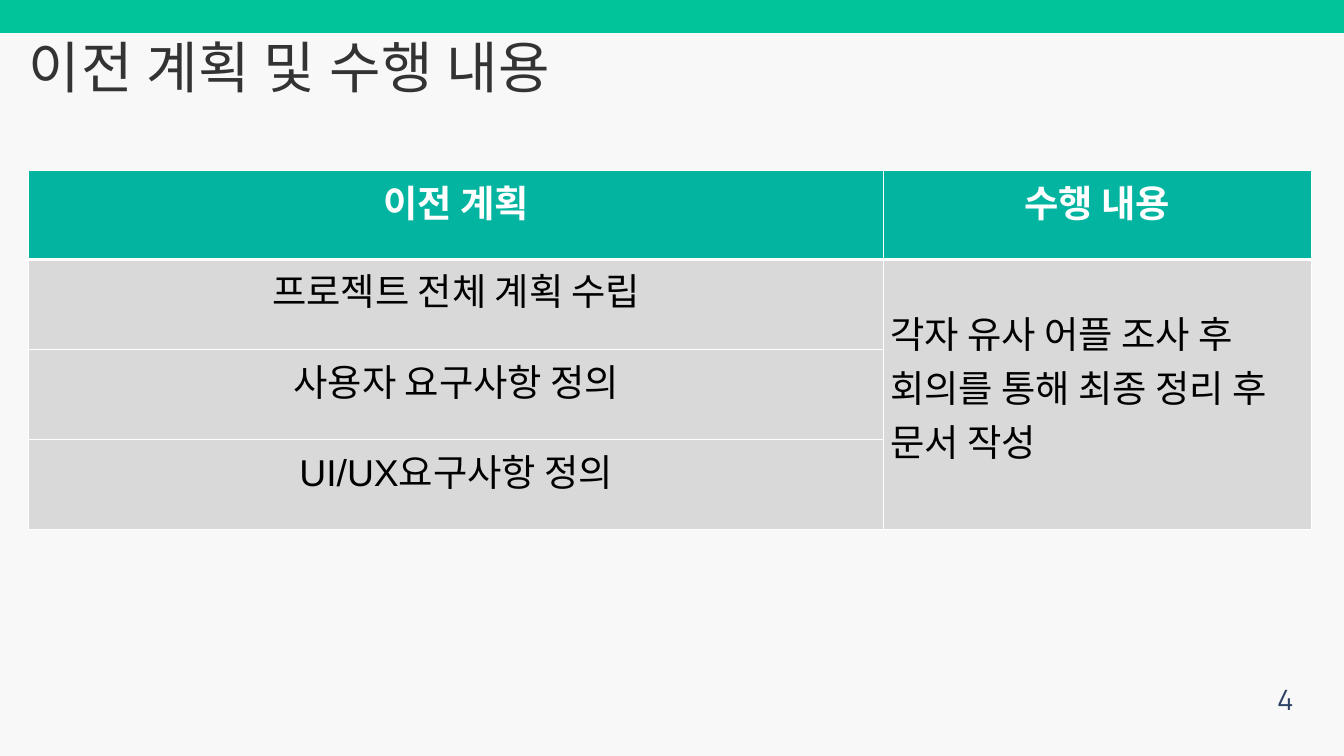
from lxml import etree
from pptx import Presentation
from pptx.dml.color import RGBColor
from pptx.enum.shapes import MSO_SHAPE
from pptx.enum.text import MSO_ANCHOR, MSO_AUTO_SIZE, PP_ALIGN
from pptx.oxml.ns import qn
from pptx.util import Inches, Pt

RECT = MSO_SHAPE.RECTANGLE
TOP = MSO_ANCHOR.TOP
GROW = MSO_AUTO_SIZE.SHAPE_TO_FIT_TEXT
LEFT, CENTER, RIGHT = PP_ALIGN.LEFT, PP_ALIGN.CENTER, PP_ALIGN.RIGHT

COLORS = {
    "background": "F8F8F8",
    "bar": "00C49A",
    "title": "333333",
    "number": "2D4263",
    "header": "03B5A0",
    "body": "D9D9D9",
    "white": "FFFFFF",
    "black": "000000",
}
HEADERS = ["이전 계획", "수행 내용"]
PLANS = [
    ("프로젝트 전체 계획 수립", "Calibri"),
    ("사용자 요구사항 정의", "Calibri"),
    ("UI/UX요구사항 정의", "Arial"),
]
RESULT = "각자 유사 어플 조사 후 회의를 통해 최종 정리 후 문서 작성"


def rgb(name):
    return RGBColor.from_string(COLORS[name])


def add_run(p, text, font, size, color, bold=False):
    r = p.add_run()
    r.text = text
    r.font.name = font
    r.font.size = Pt(size)
    r.font.bold = bold
    r.font.color.rgb = rgb(color)
    return r


def add_bar(s):
    sp = s.shapes.add_shape(RECT, 0, 0, Inches(20), Inches(0.49))
    sp.shadow.inherit = False
    sp.fill.solid()
    sp.fill.fore_color.rgb = rgb("bar")
    sp.line.fill.background()


def add_text(s, box, text, size, color, align, line_spacing):
    tf = s.shapes.add_textbox(*map(Inches, box)).text_frame
    tf.word_wrap = True
    tf.auto_size = GROW
    tf.margin_left = tf.margin_top = tf.margin_right = tf.margin_bottom = 0
    p = tf.paragraphs[0]
    p.alignment = align
    p.line_spacing = Pt(line_spacing)
    return add_run(p, text, "Manrope", size, color)


def set_borders(cell, top, bottom):
    tcPr = cell._tc.get_or_add_tcPr()
    for side, width in (("L", 1), ("R", 1), ("T", top), ("B", bottom)):
        ln = etree.SubElement(tcPr, qn(f"a:ln{side}"), w=str(Pt(width)))
        fill = etree.SubElement(ln, qn("a:solidFill"))
        etree.SubElement(fill, qn("a:srgbClr"), val=COLORS["white"])


def fill_cell(cell, text, font, color, align=CENTER, bold=False):
    cell.vertical_anchor = TOP
    p = cell.text_frame.paragraphs[0]
    p.alignment = align
    add_run(p, text, font, 40, color, bold)


def add_plan_table(s):
    box = map(Inches, (0.43, 2.54, 19.08, 5.34))
    table = s.shapes.add_table(len(PLANS) + 1, len(HEADERS), *box).table
    table.first_row = table.horz_banding = False
    for col, width in zip(table.columns, (12.72, 6.36)):
        col.width = Inches(width)
    for i, row in enumerate(table.rows):
        row.height = Inches(1.34 if i else 1.32)
        for cell in row.cells:
            set_borders(cell, 3 if i == 1 else 1, 1 if i else 3)
            cell.fill.solid()
            cell.fill.fore_color.rgb = rgb("body" if i else "header")
    for j, text in enumerate(HEADERS):
        fill_cell(table.cell(0, j), text, "Arial", "white", bold=True)
    for i, (text, font) in enumerate(PLANS, 1):
        fill_cell(table.cell(i, 0), text, font, "black")
    result = table.cell(1, 1)
    result.merge(table.cell(len(PLANS), 1))
    result.margin_top = Inches(0.69)
    fill_cell(result, RESULT, "Calibri", "black", LEFT)


def main():
    prs = Presentation()
    prs.slide_width, prs.slide_height = Inches(20), Inches(11.25)
    s = prs.slides.add_slide(prs.slide_layouts[6])
    s.background.fill.solid()
    s.background.fill.fore_color.rgb = rgb("background")
    add_bar(s)
    add_text(s, (18.5, 9.99, 0.75, 0.64), "4", 30, "number", RIGHT, 48)
    title = add_text(s, (0.43, 1.09, 15.89, 0.53), "이전 계획 및 수행 내용",
                     60, "title", LEFT, 28.8)
    title.font._element.set("spc", "70")
    add_plan_table(s)
    prs.save("out.pptx")


if __name__ == "__main__":
    main()
